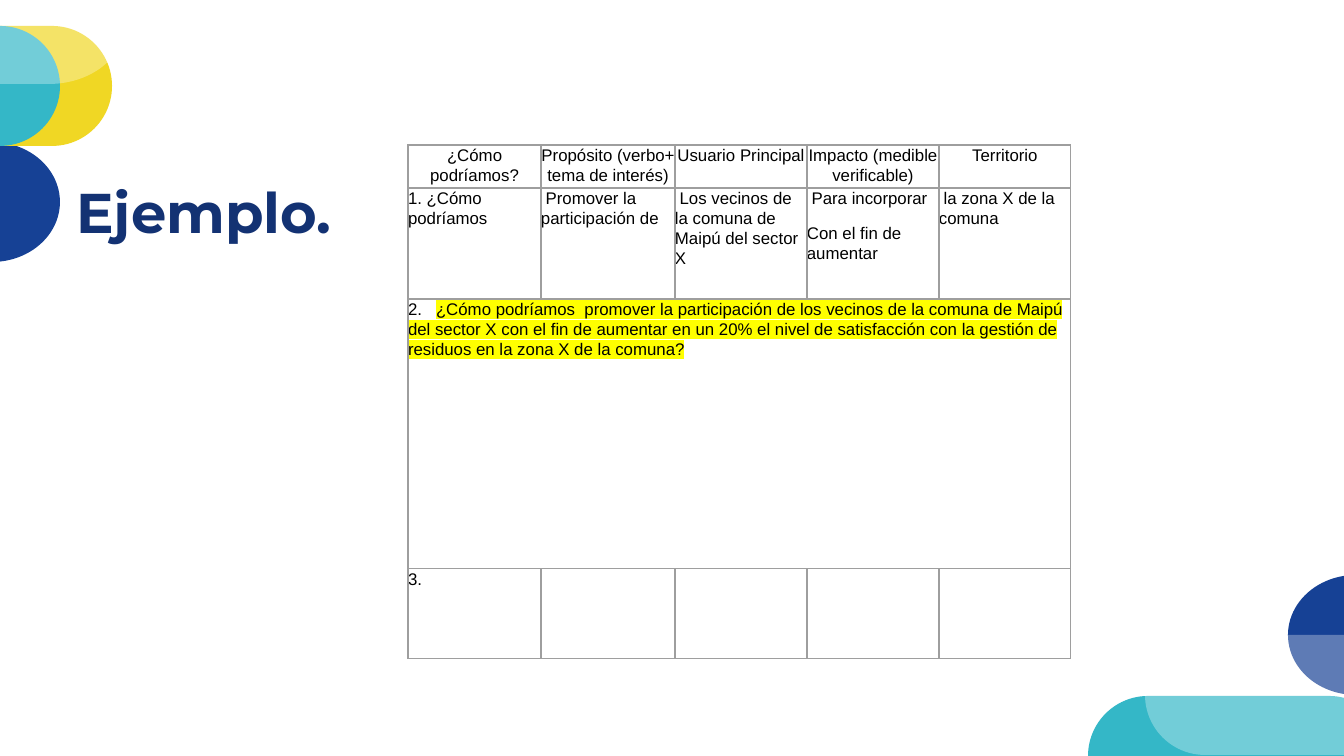
"""Build a slide with a worked example of a design question in a table."""
from lxml import etree
from pptx import Presentation
from pptx import util as u
from pptx.dml.color import RGBColor
from pptx.enum import shapes, text
from pptx.oxml.ns import qn

PX = 914400 / 134.4
WHITE = RGBColor(0xFF, 0xFF, 0xFF)
BLACK = RGBColor(0, 0, 0)
BLUE = RGBColor(0x16, 0x41, 0x95)
NAVY = RGBColor(0x13, 0x32, 0x73)
TEAL = RGBColor(0x34, 0xB7, 0xC7)
GOLD = RGBColor(0xF0, 0xD7, 0x24)
GREY = RGBColor(0x9E, 0x9E, 0x9E)
YELLOW = RGBColor(0xFF, 0xFF, 0)
ROUND = shapes.MSO_SHAPE.ROUNDED_RECTANGLE
OVAL_ENDS = shapes.MSO_SHAPE.FLOWCHART_TERMINATOR

COLUMNS = [133, 134, 132, 132, 132]
ROWS = [43, 111, 270, 90]
HEADERS = ["¿Cómo podríamos?", "Propósito (verbo+ tema de interés)", "Usuario Principal",
           "Impacto (medible verificable)", "Territorio"]
EXAMPLE = [["1. ¿Cómo podríamos"], [" Promover la participación de"],
           [" Los vecinos de la comuna de Maipú del sector X"],
           [" Para incorporar", "Con el fin de aumentar"], [" la zona X de la comuna"]]
QUESTION = ("¿Cómo podríamos  promover la participación de los vecinos de la comuna de Maipú "
            "del sector X con el fin de aumentar en un 20% el nivel de satisfacción con la "
            "gestión de residuos en la zona X de la comuna?")


def px(length):
    """Turn px into EMU."""
    return u.Emu(round(length * PX))


def add_span(para, words, size=9, font="Arial", color=BLACK, bold=False, highlight=None):
    """Add a formatted run to a paragraph."""
    span = para.add_run()
    span.text = words
    span.font.size = u.Pt(size)
    span.font.bold = bold
    span.font.color.rgb = color
    span.font.name = font
    if highlight is not None:
        mark = etree.Element(qn("a:highlight"))
        etree.SubElement(mark, qn("a:srgbClr"), val=str(highlight))
        span.font._element.find(qn("a:latin")).addprevious(mark)


class Slide:
    """Hold the style and the current slide."""

    pill_height = 120
    line_spacing = 1.07
    space_after = 8
    border = 0.75

    def __init__(self, deck):
        """Add a title-only page to the deck."""
        self.page = deck.slides.add_slide(deck.slide_layouts[5])

    def pill(self, left, top, width, color, kind=ROUND, opacity=100):
        """Draw a bar with rounded ends."""
        shape = self.page.shapes.add_shape(kind, px(left), px(top), px(width),
                                           px(self.pill_height))
        if kind == ROUND:
            shape.adjustments[0] = 0.5
        shape.shadow.inherit = False
        shape.line.fill.background()
        shape.fill.solid()
        shape.fill.fore_color.rgb = color
        if opacity < 100:
            fill = shape._element.spPr.find(qn("a:solidFill"))
            etree.SubElement(fill[0], qn("a:alpha"), val=str(opacity * 1000))

    def title(self, words, left, top, width, height):
        """Place and format the title."""
        box = self.page.shapes.title
        box.left, box.top, box.width, box.height = map(px, (left, top, width, height))
        frame = box.text_frame
        frame.auto_size = text.MSO_AUTO_SIZE.NONE
        frame.vertical_anchor = text.MSO_ANCHOR.TOP
        frame.margin_left = frame.margin_right = u.Inches(0.1)
        frame.margin_top = frame.margin_bottom = u.Inches(0.1)
        para = frame.paragraphs[0]
        para.alignment = text.PP_ALIGN.CENTER
        para.space_before = u.Pt(0)
        add_span(para, words, size=30, font="Montserrat", color=NAVY, bold=True)

    def table(self, left, top, columns, rows):
        """Add a plain table with thin borders."""
        frame = self.page.shapes.add_table(len(rows), len(columns), px(left), px(top),
                                           px(sum(columns)), px(sum(rows)))
        table = frame.table
        table.first_row = table.horz_banding = False
        for column, width in zip(table.columns, columns):
            column.width = px(width)
        for row, height in zip(table.rows, rows):
            row.height = px(height)
        for cell in table.iter_cells():
            cell.margin_left = cell.margin_right = cell.margin_top = cell.margin_bottom = 0
            for side in ("lnL", "lnR", "lnT", "lnB"):
                line = etree.SubElement(cell._tc.tcPr, qn(f"a:{side}"),
                                        w=str(u.Pt(self.border)))
                fill = etree.SubElement(line, qn("a:solidFill"))
                etree.SubElement(fill, qn("a:srgbClr"), val=str(GREY))
            cell.fill.background()
        return table

    def paragraph(self, cell, first=True, align=text.PP_ALIGN.LEFT, tab=None):
        """Return a spaced paragraph of a cell."""
        frame = cell.text_frame
        para = frame.paragraphs[0] if first else frame.add_paragraph()
        para.alignment = align
        para.line_spacing = self.line_spacing
        para.space_after = u.Pt(self.space_after)
        if tab is not None:
            stops = etree.SubElement(para._p.get_or_add_pPr(), qn("a:tabLst"))
            etree.SubElement(stops, qn("a:tab"), pos=str(px(tab)), algn="l")
        return para


def main():
    """Compose and save the slide."""
    deck = Presentation()
    deck.slide_width, deck.slide_height = px(1344), px(756)
    slide = Slide(deck)

    slide.pill(1288, 575, 423, BLUE, kind=OVAL_ENDS)
    slide.pill(-363, 142, 423, BLUE, kind=OVAL_ENDS)
    slide.pill(1088, 696, 301, TEAL)
    slide.pill(-189, 26, 301, GOLD)
    slide.pill(-152, 26, 212, TEAL)
    slide.pill(-347, -36, 472, WHITE, kind=OVAL_ENDS, opacity=31)
    slide.pill(1145, 635, 301, WHITE, opacity=31)
    slide.title("Ejemplo.", -38, 164, 484, 84)

    table = slide.table(408, 145, COLUMNS, ROWS)
    for column, (header, lines) in enumerate(zip(HEADERS, EXAMPLE)):
        para = slide.paragraph(table.cell(0, column), align=text.PP_ALIGN.CENTER)
        add_span(para, header)
        for number, line in enumerate(lines):
            add_span(slide.paragraph(table.cell(1, column), first=number == 0), line)
    table.cell(2, 0).merge(table.cell(2, len(COLUMNS) - 1))
    para = slide.paragraph(table.cell(2, 0), tab=28)
    add_span(para, "2.\t")
    add_span(para, QUESTION, highlight=YELLOW)
    add_span(slide.paragraph(table.cell(3, 0)), "3.")

    deck.save("out.pptx")


if __name__ == "__main__":
    main()
